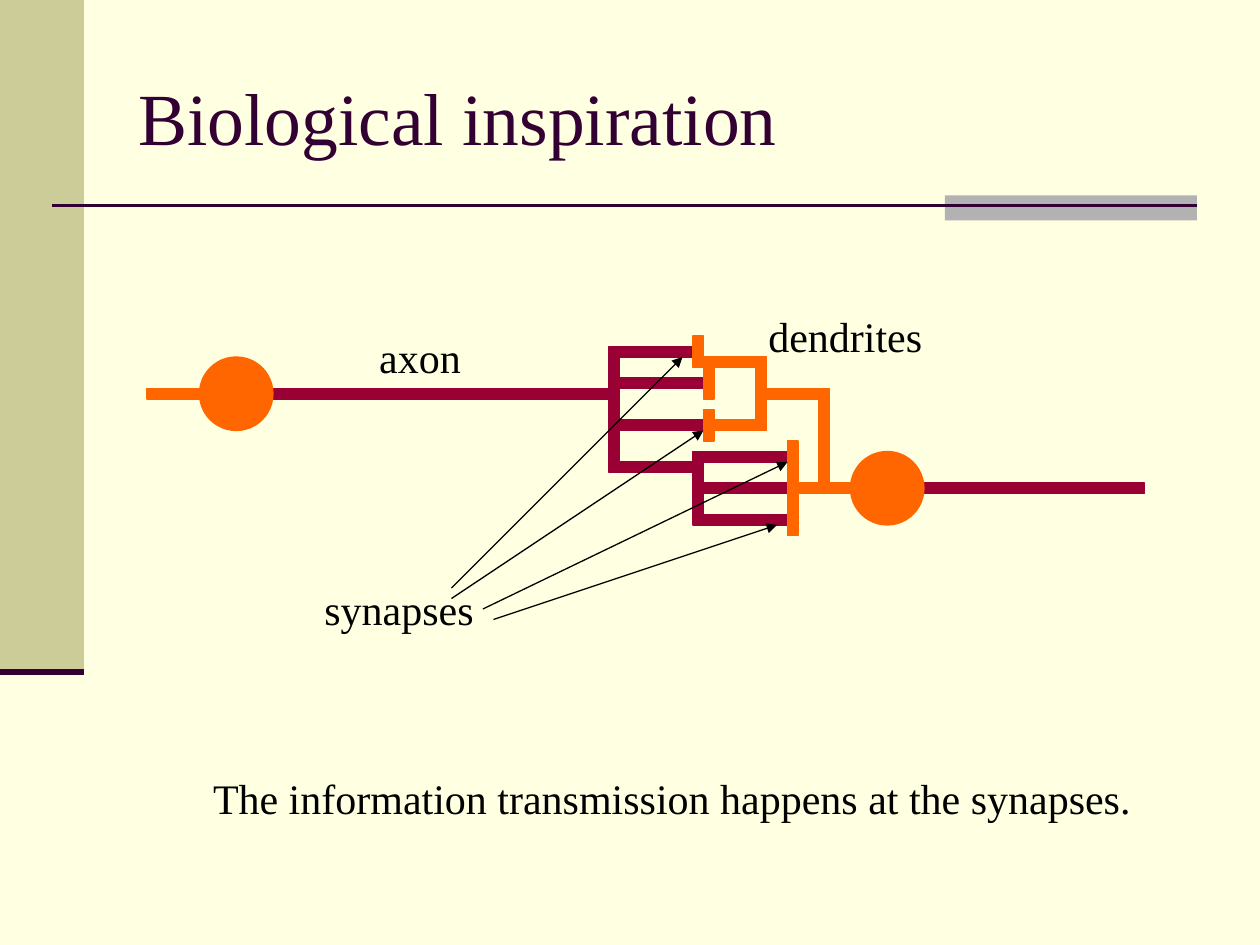
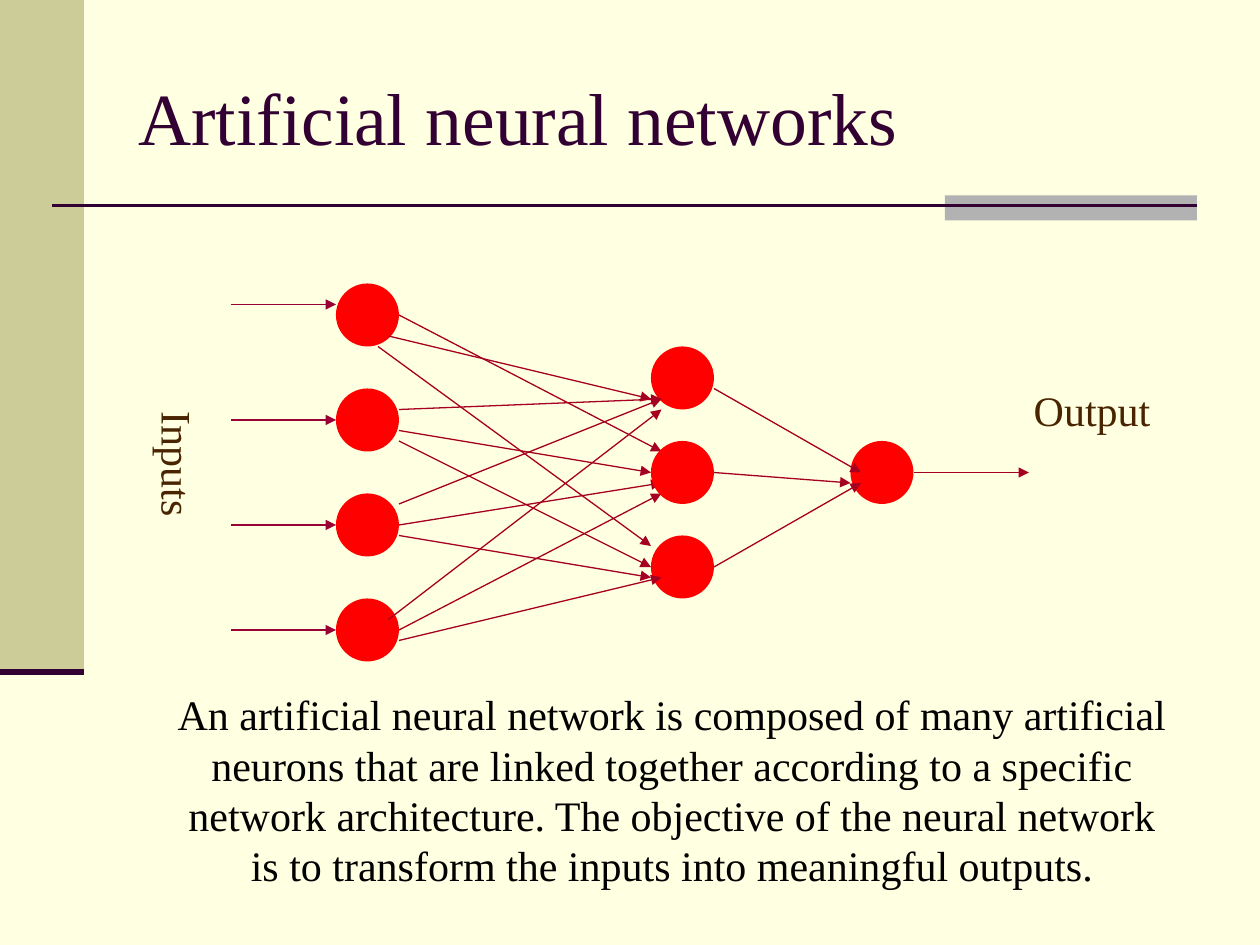
"""Build two slides on biological and artificial neurons."""
from dataclasses import dataclass

from lxml import etree
from pptx import Presentation
from pptx import util as u
from pptx.dml.color import RGBColor as Rgb
from pptx.enum import shapes, text
from pptx.oxml import ns


@dataclass
class Theme:
    page: str = "FFFFE1"
    side: str = "CCCC99"
    tab: str = "B2B2B2"
    plum: str = "330033"
    wine: str = "990033"
    flame: str = "FF6600"
    red: str = "FF0000"
    rust: str = "A50021"
    brown: str = "482400"
    black: str = "000000"
    font: str = "Times New Roman"
    head: int = 42
    body: int = 24
    thin: float = 0.75
    rule: float = 1.5
    thick: float = 3.5
    grid: int = 12


look = Theme()
RECT = shapes.MSO_SHAPE.RECTANGLE
OVAL = shapes.MSO_SHAPE.OVAL


def put(slide, kind, box, fill, edge=True):
    shape = slide.shapes.add_shape(kind, *[u.Inches(n / look.grid) for n in box])
    shape.shadow.inherit = False
    shape.fill.solid()
    shape.fill.fore_color.rgb = Rgb.from_string(fill)
    if edge:
        shape.line.color.rgb = Rgb.from_string(fill)
        shape.line.width = u.Pt(look.thin)
    else:
        shape.line.fill.background()


def link(slide, ends, color, width=look.thin, arrow=True):
    line = slide.shapes.add_connector(
        shapes.MSO_CONNECTOR.STRAIGHT, *[u.Inches(n / look.grid) for n in ends])
    line.line.color.rgb = Rgb.from_string(color)
    line.line.width = u.Pt(width)
    if arrow:
        tip = etree.SubElement(line.line._get_or_add_ln(), ns.qn("a:tailEnd"))
        tip.set("type", "triangle")
    etree.SubElement(line._element.spPr, ns.qn("a:effectLst"))


deck = Presentation()
deck.slide_width, deck.slide_height = u.Inches(10), u.Inches(7.5)
back = deck.slide_master.background.fill
back.solid()
back.fore_color.rgb = Rgb.from_string(look.page)
bio, net = [deck.slides.add_slide(deck.slide_layouts[6]) for _ in range(2)]

for slide in (bio, net):
    put(slide, RECT, (0, 0, 8, 64), look.side, False)
    put(slide, RECT, (90, 18.6, 24, 2.4), look.tab, False)
    link(slide, (5, 19.6, 114, 19.6), look.plum, look.rule, False)
    link(slide, (0, 64, 8, 64), look.plum, look.thick, False)

axons = [(26, 37, 32, 1), (58, 34, 1, 10), (66, 43, 1, 7), (88, 46, 21, 1)]
axons += [(x, y, 8, 1) for x, y in (
    (58, 33), (59, 36), (59, 40), (58, 44), (67, 43), (67, 46), (67, 49))]
dends = [(72, 34, 1, 6), (78, 37, 1, 10)]
dends += [(x, y, 5, 1) for x, y in (
    (14, 37), (67, 34), (68, 40), (73, 37), (76, 46))]
dends += [(x, y, 1, 3) for x, y in (
    (66, 32), (67, 35), (67, 39), (75, 42), (75, 45), (75, 48))]
for bars, color in ((axons, look.wine), (dends, look.flame)):
    for bar in bars:
        put(bio, RECT, bar, color)
for x, y in ((19, 34), (81, 43)):
    put(bio, OVAL, (x, y, 7, 7), look.flame)
for ends in ((43, 57, 67, 41), (46, 58, 75, 44), (47, 59, 74, 50), (43, 56, 65, 34)):
    link(bio, ends, look.black)

for row in range(4):
    put(net, OVAL, (32, 27 + 10 * row, 6, 6), look.red, False)
for ends in ((38, 30, 63, 43), (38, 41, 62, 45), (38, 50, 63, 46), (38, 60, 63, 47)):
    link(net, ends, look.rust)
for x, y in ((62, 33), (62, 42), (62, 51), (81, 42)):
    put(net, OVAL, (x, y, 6, 6), look.red, False)
for ends in (
        (37, 32, 62, 38), (36, 33, 62, 52), (38, 39, 63, 38), (38, 42, 62, 54),
        (38, 48, 63, 38), (38, 51, 62, 55), (37, 59, 63, 39), (38, 61, 63, 55),
        (68, 37, 82, 45), (68, 45, 81, 46), (68, 54, 82, 46), (87, 45, 98, 45)):
    link(net, ends, look.rust)
for y in (29, 40, 50, 60):
    link(net, (22, y, 32, y), look.wine)

title = (12, 3.6, 102, 15)
words = [
    (bio, title, "Biological inspiration", look.plum),
    (bio, (27, 55, 22, 6), "synapses", look.black),
    (bio, (31, 31, 18, 6), "axon", look.black),
    (bio, (71, 29, 19, 6), "dendrites", look.black),
    (bio, (16, 73, 97, 6),
     "The information transmission happens at the synapses. ", look.black),
    (net, title, "Artificial neural networks", look.plum),
    (net, (12.8, 38, 7.2, 20), "Inputs", look.brown),
    (net, (96, 36, 16, 6), "Output", look.brown),
    (net, (15, 65, 98, 20.4),
     "An artificial neural network is composed of many artificial neurons that "
     "are linked together according to a specific network architecture. The "
     "objective of the neural network is to transform the inputs into "
     "meaningful outputs.", look.black),
]
for slide, box, says, color in words:
    frame = slide.shapes.add_textbox(
        *[u.Inches(n / look.grid) for n in box]).text_frame
    frame.word_wrap = True
    para = frame.paragraphs[0]
    run = para.add_run()
    run.text = says
    run.font.color.rgb = Rgb.from_string(color)
    top = box == title
    form = {"name": look.font, "size": u.Pt(look.head if top else look.body)}
    for key, value in form.items():
        setattr(run.font, key, value)
    if top:
        frame.vertical_anchor = text.MSO_ANCHOR.MIDDLE
    else:
        frame.auto_size = text.MSO_AUTO_SIZE.SHAPE_TO_FIT_TEXT
        para.alignment = text.PP_ALIGN.CENTER
        para.space_before = u.Pt(15)
    if says == "Inputs":
        frame._txBody.bodyPr.set("vert", "eaVert")
        pads = {"left": 0.05, "right": 0.05, "top": 0.1, "bottom": 0.1}
        for key, value in pads.items():
            setattr(frame, "margin_" + key, u.Inches(value))

deck.save("out.pptx")
